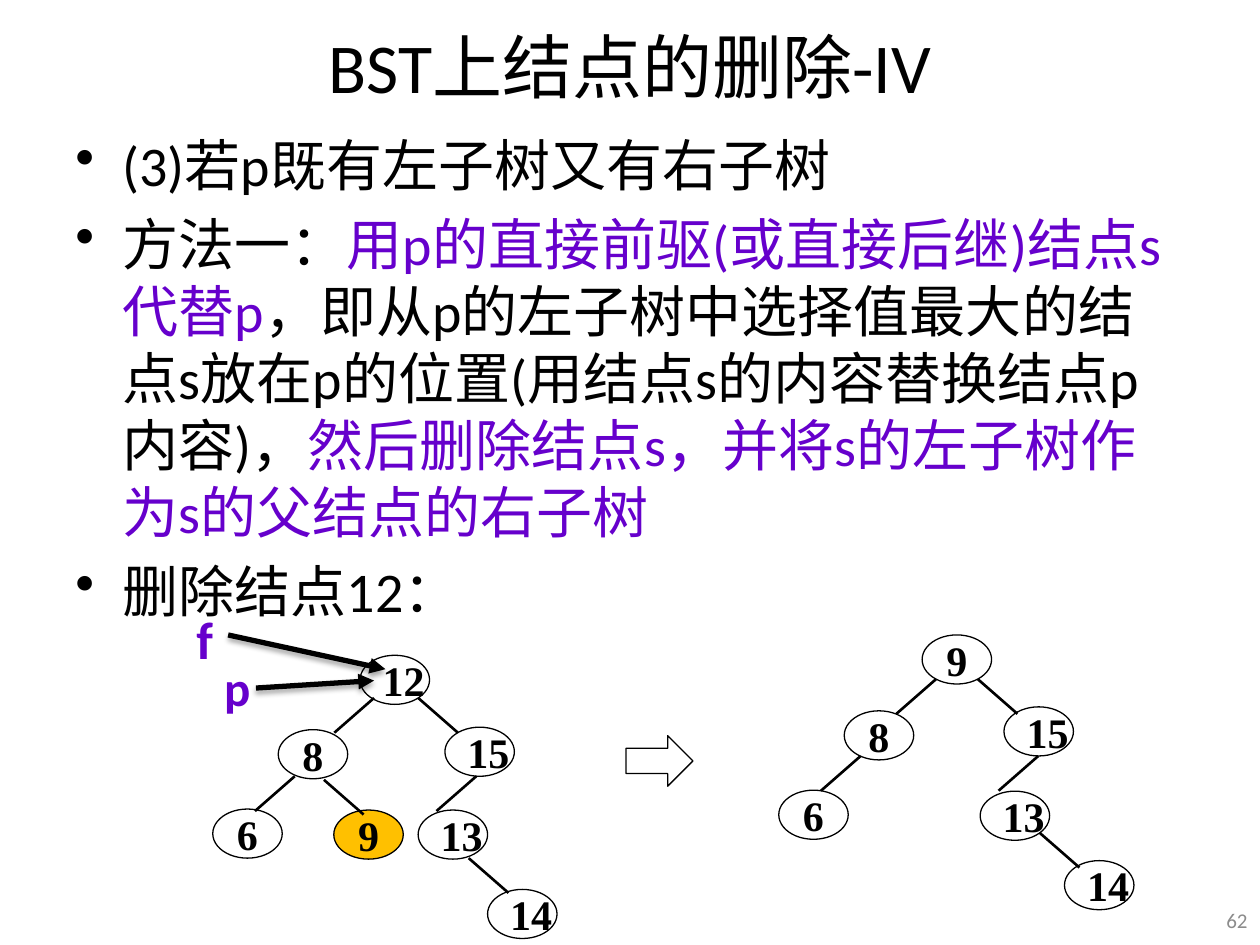
from lxml.etree import SubElement
from pptx import Presentation
from pptx.dml.color import RGBColor
from pptx.enum.lang import MSO_LANGUAGE_ID
from pptx.enum.shapes import MSO_CONNECTOR, MSO_SHAPE
from pptx.enum.text import MSO_ANCHOR, PP_ALIGN
from pptx.oxml.ns import qn
from pptx.util import Cm, Pt


class Theme:
    black = RGBColor(0x00, 0x00, 0x00)
    purple = RGBColor(0x66, 0x00, 0xCC)
    orange = RGBColor(0xFF, 0xC0, 0x00)
    gray = RGBColor(0x8C, 0x8C, 0x8C)
    text_font, node_font = "Calibri", "Times New Roman"
    title, body, node, number = 40, 32, 24, 12
    outline, edge, pointer = 0.75, 1.5, 3


# Content: lengths in centimetres
TITLE = "BST上结点的删除-IV"
BULLETS = [
    [("(3)若p既有左子树又有右子树", Theme.black)],
    [
        ("方法一：", Theme.black),
        ("用p的直接前驱(或直接后继)结点s代替p", Theme.purple),
        ("，即从p的左子树中选择值最大的结点s放在p的位置"
         "(用结点s的内容替换结点p内容)，", Theme.black),
        ("然后删除结点s，并将s的左子树作为s的父结点的右子树", Theme.purple),
    ],
    [("删除结点12：", Theme.black)],
]
PAGE_NUMBER = "62"

# Nodes: key, left, top. Edges: start x, start y, side (-1 left, 1 right)
TREES = [
    {
        "nodes": [("12", 7.26, 13.21), ("8", 5.61, 14.71), ("6", 4.29, 16.31),
                  ("9", 6.73, 16.33), ("15", 8.97, 14.66), ("13", 8.43, 16.33),
                  ("14", 9.83, 17.93)],
        "edges": [(7.54, 14.07, -1), (8.43, 14.07, 1), (5.94, 15.65, -1),
                  (6.53, 15.72, 1), (9.6, 15.65, -1), (9.45, 17.3, 1)],
        "marked": "9",
    },
    {
        "nodes": [("9", 18.59, 12.8), ("8", 17.02, 14.33), ("6", 15.7, 15.93),
                  ("15", 20.24, 14.25), ("13", 19.76, 15.95), ("14", 21.46, 17.35)],
        "edges": [(18.87, 13.69, -1), (19.71, 13.69, 1), (17.35, 15.24, -1),
                  (20.93, 15.24, -1), (20.96, 16.79, 1)],
        "marked": None,
    },
]
NODE_WIDTH, NODE_HEIGHT = 1.4, 0.99
EDGE_WIDTH, EDGE_HEIGHT = 0.8, 0.7

# Pointers: name, type size, label box, arrow start, arrow end
POINTERS = [
    ("p", 28, (4.27, 13.13, 1.04, 1.45), (5.16, 13.87), (7.54, 13.72)),
    ("f", 30, (3.71, 12.12, 0.86, 1.55), (4.6, 12.8), (7.77, 13.49)),
]


def add_span(para, text, size, color, font=Theme.text_font, bold=False):
    span = para.add_run()
    span.text = text
    span.font.size, span.font.name, span.font.bold = Pt(size), font, bold
    span.font.color.rgb = color
    span.font.language_id = MSO_LANGUAGE_ID.SIMPLIFIED_CHINESE


def add_box(page, place, anchor=MSO_ANCHOR.TOP, wrap=True):
    frame = page.shapes.add_textbox(*map(Cm, place)).text_frame
    frame.word_wrap, frame.vertical_anchor = wrap, anchor
    return frame


def add_bullet(para):
    para.space_before = Pt(0.2 * Theme.body)
    properties = para._p.get_or_add_pPr()
    properties.set("marL", str(Cm(0.95)))
    properties.set("indent", str(Cm(-0.95)))
    SubElement(properties, qn("a:buChar"), char="•")


def add_outline_shape(page, kind, place, fill=None):
    shape = page.shapes.add_shape(kind, *map(Cm, place))
    shape.shadow.inherit = False
    if fill is None:
        shape.fill.background()
    else:
        shape.fill.solid()
        shape.fill.fore_color.rgb = fill
    shape.line.color.rgb, shape.line.width = Theme.black, Pt(Theme.outline)
    return shape


def add_line(page, start, end, width):
    line = page.shapes.add_connector(MSO_CONNECTOR.STRAIGHT, *map(Cm, start + end))
    line.line.color.rgb, line.line.width = Theme.black, Pt(width)
    effects = SubElement(line._element.spPr, qn("a:effectLst"))
    return line, effects


def add_tree(page, tree):
    for key, left, top in tree["nodes"]:
        fill = Theme.orange if key == tree["marked"] else None
        node = add_outline_shape(
            page, MSO_SHAPE.OVAL, (left, top, NODE_WIDTH, NODE_HEIGHT), fill)
        frame = node.text_frame
        frame.word_wrap, frame.vertical_anchor = False, MSO_ANCHOR.MIDDLE
        para = frame.paragraphs[0]
        para.alignment = PP_ALIGN.CENTER if len(key) == 1 else PP_ALIGN.LEFT
        add_span(para, key, Theme.node, Theme.black, Theme.node_font, True)
    for x, y, side in tree["edges"]:
        add_line(page, (x, y), (x + side * EDGE_WIDTH, y + EDGE_HEIGHT), Theme.edge)


def add_pointer(page, name, size, place, start, end):
    frame = add_box(page, place, wrap=False)
    add_span(frame.paragraphs[0], name, size, Theme.purple, bold=True)
    arrow, effects = add_line(page, start, end, Theme.pointer)
    SubElement(arrow.line._get_or_add_ln(), qn("a:tailEnd"), type="triangle")
    shadow = SubElement(effects, qn("a:outerShdw"), blurRad=str(Pt(3.1)),
                        dist=str(Pt(1.8)), dir="5400000", rotWithShape="0")
    color = SubElement(shadow, qn("a:srgbClr"), val=str(Theme.black))
    SubElement(color, qn("a:alpha"), val="35000")


def main():
    deck = Presentation()
    deck.slide_width, deck.slide_height = Cm(25.4), Cm(19.05)
    page = deck.slides.add_slide(deck.slide_layouts[6])

    # Title
    para = add_box(page, (1.27, 0.13, 22.86, 2.39), MSO_ANCHOR.MIDDLE).paragraphs[0]
    para.alignment = PP_ALIGN.CENTER
    add_span(para, TITLE, Theme.title, Theme.black)

    # Bulleted text
    frame = add_box(page, (1.27, 2.51, 22.86, 16.21))
    for index, spans in enumerate(BULLETS):
        para = frame.add_paragraph() if index else frame.paragraphs[0]
        add_bullet(para)
        for text, color in spans:
            add_span(para, text, Theme.body, color)

    # Page number
    para = add_box(page, (24.31, 18.03, 1.09, 1.02), MSO_ANCHOR.MIDDLE).paragraphs[0]
    para.alignment = PP_ALIGN.RIGHT
    add_span(para, PAGE_NUMBER, Theme.number, Theme.gray)

    # Trees before and after the deletion
    for tree in TREES:
        add_tree(page, tree)
    add_outline_shape(page, MSO_SHAPE.RIGHT_ARROW, (12.62, 14.83, 1.35, 1.02))

    # Pointers to the deleted node
    for pointer in POINTERS:
        add_pointer(page, *pointer)

    deck.save("out.pptx")


if __name__ == "__main__":
    main()
